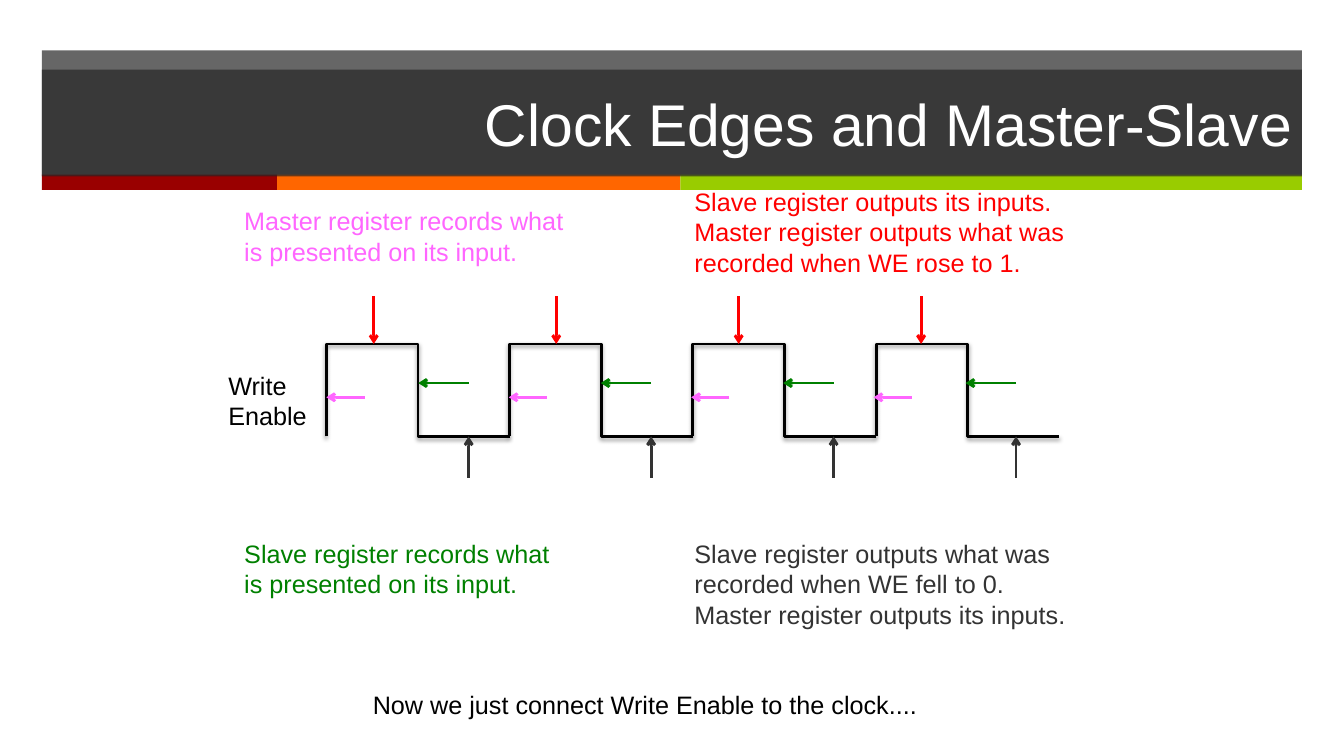
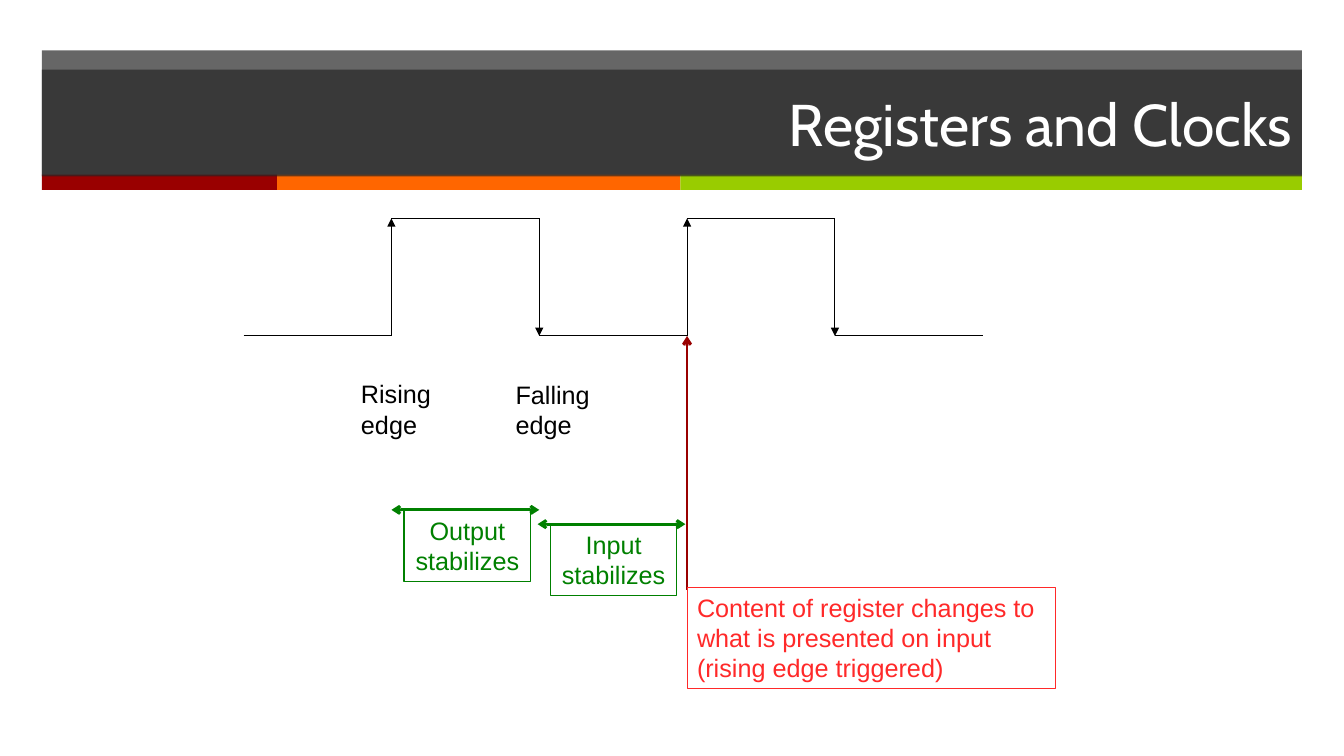
from dataclasses import dataclass

from lxml.etree import SubElement
from pptx import Presentation
from pptx.dml.color import RGBColor
from pptx.enum.shapes import MSO_CONNECTOR, MSO_SHAPE
from pptx.enum.text import MSO_ANCHOR, PP_ALIGN
from pptx.oxml.ns import qn
from pptx.util import Inches, Pt


@dataclass(frozen=True)
class Theme:
    white: str = "FFFFFF"
    black: str = "000000"
    band: str = "262626"
    maroon: str = "990000"
    orange: str = "FF6600"
    lime: str = "99CC00"
    red: str = "FF0000"
    soft_red: str = "FF2929"
    green: str = "008000"
    pink: str = "FF66FF"
    grey: str = "333333"
    font: str = "Arial"
    title_size: float = 42
    body_size: float = 18
    thick: float = 2
    thin: float = 0.75


theme = Theme()
rgb = RGBColor.from_string

deck = Presentation()
deck.slide_width, deck.slide_height = Inches(13.333), Inches(7.5)

# The grid has 160 columns and 90 rows
COL, ROW = deck.slide_width / 160, deck.slide_height / 90


def label(slide, left, top, width, height, text, color, align=PP_ALIGN.LEFT, outlined=False):
    box = slide.shapes.add_textbox(int(left * COL), int(top * ROW),
                                   int(width * COL), int(height * ROW))
    box.text_frame.word_wrap = True
    box.text_frame.text = text
    for paragraph in box.text_frame.paragraphs:
        paragraph.alignment = align
        font = paragraph.runs[0].font
        font.name, font.size = theme.font, Pt(theme.body_size)
        font.color.rgb = rgb(color)
    if outlined:
        box.line.color.rgb = rgb(color)
        box.line.width = Pt(theme.thin)


def line(slide, start, end, color, weight=theme.thick, head=None, tail=None):
    stroke = slide.shapes.add_connector(
        MSO_CONNECTOR.STRAIGHT, int(start[0] * COL), int(start[1] * ROW),
        int(end[0] * COL), int(end[1] * ROW))
    stroke.line.color.rgb = rgb(color)
    stroke.line.width = Pt(weight)
    properties = stroke.element.spPr
    for tag, style in (("a:headEnd", head), ("a:tailEnd", tail)):
        if style:
            SubElement(properties.find(qn("a:ln")), qn(tag), type=style)
    SubElement(properties, qn("a:effectLst"))


# Shared frame: two translucent bands, a three-colour strip and the title
MARGIN, CONTENT = 5, 150
frame = [
    (MARGIN, 6, CONTENT, 14.9, theme.band, 70),
    (MARGIN, 20.8, 28, 1.8, theme.maroon, 100),
    (33, 20.8, 48, 1.8, theme.orange, 100),
    (81, 20.8, 74, 1.8, theme.lime, 100),
    (MARGIN, 8.3, CONTENT, 12.7, theme.band, 70),
]
slides = []
for title, title_font in (("Clock Edges and Master-Slave", theme.font),
                          ("Registers and Clocks", "Cabin")):
    slide = deck.slides.add_slide(deck.slide_layouts[6])
    slides.append(slide)
    for left, top, width, height, color, opacity in frame:
        band = slide.shapes.add_shape(
            MSO_SHAPE.RECTANGLE, int(left * COL), int(top * ROW),
            int(width * COL), int(height * ROW))
        band.shadow.inherit = False
        band.fill.solid()
        band.fill.fore_color.rgb = rgb(color)
        band.line.fill.background()
        if opacity < 100:
            tint = band.element.spPr.find(qn("a:solidFill"))[0]
            SubElement(tint, qn("a:alpha"), val=str(opacity * 1000))
    # The last band carries the title
    band.text_frame.text = title
    band.text_frame.vertical_anchor = MSO_ANCHOR.MIDDLE
    heading = band.text_frame.paragraphs[0]
    heading.alignment = PP_ALIGN.RIGHT
    font = heading.runs[0].font
    font.name, font.size = title_font, Pt(theme.title_size)
    font.color.rgb = rgb(theme.white)

edges, clocks = slides

# Slide 1: the Write Enable wave, one outline per period
WAVE_LEFT, PERIOD, HIGH, LOW = 38.85, 21.82, 40.95, 51.95
for cycle in range(4):
    rise = WAVE_LEFT + cycle * PERIOD
    fall, end = rise + PERIOD / 2, rise + PERIOD
    outline = edges.shapes.build_freeform(int(rise * COL), int(LOW * ROW))
    outline.add_line_segments(
        [(int(x * COL), int(y * ROW))
         for x, y in ((rise, HIGH), (fall, HIGH), (fall, LOW), (end, LOW))],
        close=False)
    pulse = outline.convert_to_shape()
    pulse.fill.background()
    pulse.line.color.rgb = rgb(theme.black)
    pulse.line.width = Pt(theme.thick)
    pulse.shadow.inherit = False
    shadow = SubElement(pulse.element.spPr.find(qn("a:effectLst")), qn("a:outerShdw"),
                        blurRad=str(Pt(3.1)), dist=str(Pt(1.6)), dir="5400000",
                        rotWithShape="0")
    shade = SubElement(shadow, qn("a:srgbClr"), val=theme.black)
    SubElement(shade, qn("a:alpha"), val="38000")

# Slide 1: four arrows in each period, coloured like their explanations
ARROW_PITCH = 21.72
for cycle in range(4):
    shift = cycle * ARROW_PITCH
    for (x1, y1), (x2, y2), color in (
            ((44.5, 35.3), (44.5, HIGH), theme.red),
            ((55.8, 56.9), (55.8, LOW), theme.grey),
            ((55.8, 45.6), (49.8, 45.6), theme.green),
            ((43.4, 47.3), (WAVE_LEFT, 47.3), theme.pink)):
        line(edges, (x1 + shift, y1), (x2 + shift, y2), color, tail="arrow")

# Slide 1: explanations
for left, top, width, height, text, color in (
        (26, 43.5, 12.5, 8.5, "Write\nEnable", theme.black),
        (27.9, 23.9, 40.8, 8.5,
         "Master register records what is presented on its input.", theme.pink),
        (81.5, 21.6, 52.5, 12.1,
         "Slave register outputs its inputs.\n"
         "Master register outputs what was recorded when WE rose to 1.", theme.red),
        (27.9, 63.5, 40.8, 8.5,
         "Slave register records what is presented on its input.", theme.green),
        (81.5, 63.5, 48.5, 12.1,
         "Slave register outputs what was recorded when WE fell to 0.\n"
         "Master register outputs its inputs.", theme.grey),
        (43.2, 81.5, 68, 4.8,
         "Now we just connect Write Enable to the clock....", theme.black)):
    label(edges, left, top, width, height, text, color)

# Slide 2: the clock wave, with an arrow on every edge
CLOCK_LEFT, STEP, UP, DOWN = 29, 17.6, 26, 40
levels = [DOWN, UP, DOWN, UP, DOWN]
for i, level in enumerate(levels):
    start, end = CLOCK_LEFT + i * STEP, CLOCK_LEFT + (i + 1) * STEP
    line(clocks, (start, level), (end, level), theme.black, theme.thin)
    if i + 1 < len(levels):
        line(clocks, (end, level), (end, levels[i + 1]), theme.black, theme.thin,
             tail="triangle")
first_rise, next_rise = CLOCK_LEFT + STEP, CLOCK_LEFT + 3 * STEP

label(clocks, 41.8, 44.5, 12, 8.4, "Rising\nedge", theme.black)
label(clocks, 60.2, 44.6, 12, 8.4, "Falling\nedge", theme.black)

# Slide 2: the two stabilizing phases
for left, top, text in ((first_rise, 60.7, "Output stabilizes"),
                        (first_rise + STEP - 0.2, 62.4, "Input stabilizes")):
    line(clocks, (left, top), (left + STEP, top), theme.green, head="arrow", tail="arrow")
    label(clocks, left + 1.5, top, 15.1, 8.5, text, theme.green, PP_ALIGN.CENTER, True)

# Slide 2: the rising edge that triggers the change
line(clocks, (next_rise, 70.2), (next_rise, DOWN), theme.maroon, tail="arrow")
label(clocks, next_rise, 69.9, 43.9, 12.1,
      "Content of register changes to what is presented on input\n"
      "(rising edge triggered)", theme.soft_red, outlined=True)

deck.save("out.pptx")
